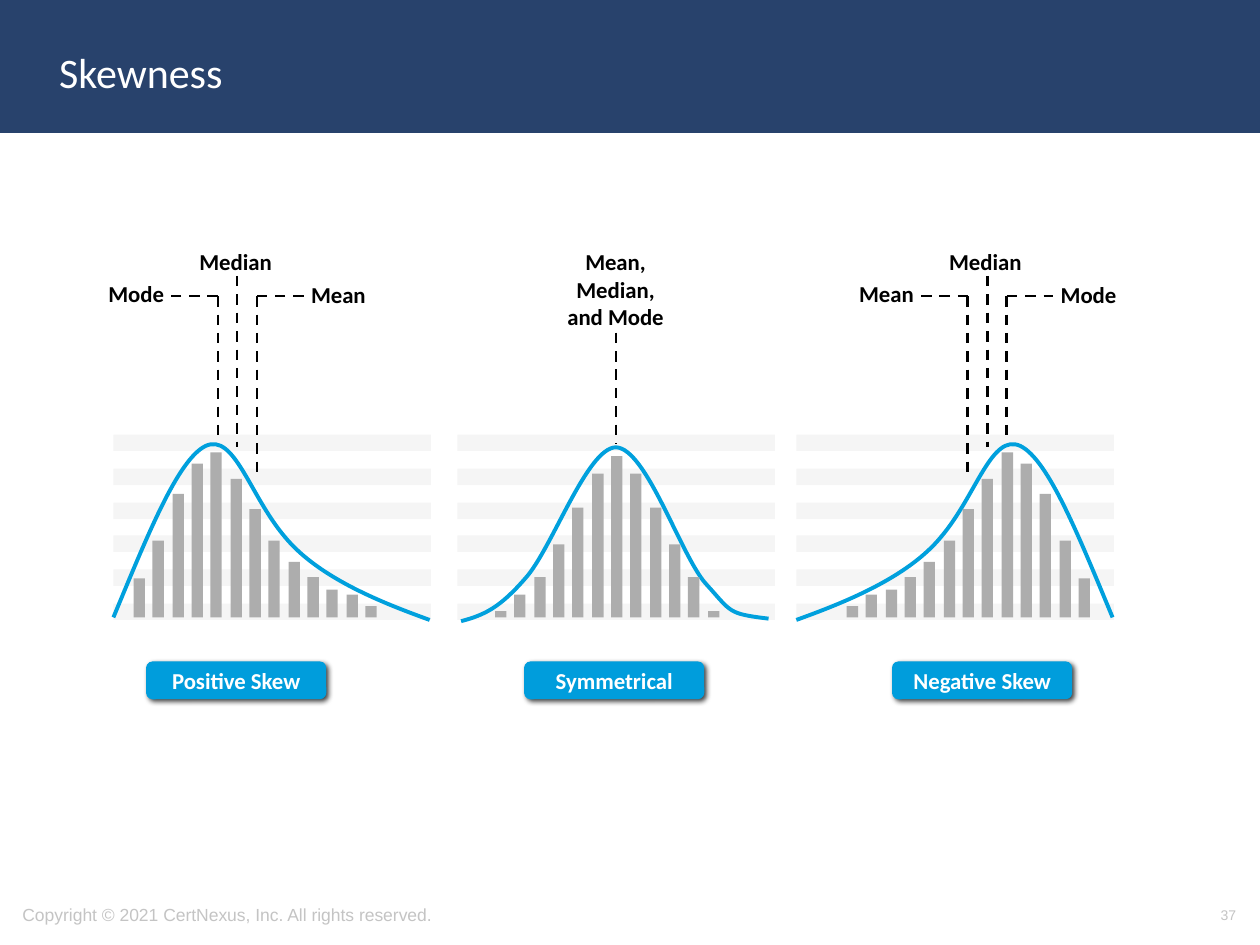
from dataclasses import dataclass

from lxml import etree
from pptx import Presentation, util as u
from pptx.dml.color import RGBColor
from pptx.enum import dml, shapes, text
from pptx.oxml.ns import qn

PX = 9144  # EMU per px, 100 px to the inch


@dataclass(frozen=True)
class Theme:
    navy: str = "28426C"
    white: str = "FFFFFF"
    black: str = "000000"
    muted: str = "C4C4C4"
    bar: str = "ADADAD"
    curve: str = "00A0DD"
    button: str = "009DDC"
    head_font: str = "Calibri"
    foot_font: str = "Arial"
    title: int = 24
    label: int = 13
    footer: int = 10
    number: int = 8


def px(n):
    return u.Emu(n * PX)


def rgb(value):
    return RGBColor.from_string(value)


def put_text(tf, words, size, color, font, bold=False, align="LEFT", anchor="MIDDLE"):
    tf.word_wrap = True
    tf.vertical_anchor = getattr(text.MSO_ANCHOR, anchor)
    p = tf.paragraphs[0]
    p.alignment = getattr(text.PP_ALIGN, align)
    r = p.add_run()
    r.text = words
    r.font.size, r.font.name, r.font.bold = u.Pt(size), font, bold
    r.font.color.rgb = rgb(color)


class Deck:
    def __init__(self, theme):
        self.t = theme
        self.prs = Presentation()
        self.prs.slide_width, self.prs.slide_height = px(1000), px(750)
        self.s = self.prs.slides.add_slide(self.prs.slide_layouts[6])

    def box(self, x, y, w, h, fill, kind="RECTANGLE", alpha=None, line=None):
        sp = self.s.shapes.add_shape(getattr(shapes.MSO_SHAPE, kind), px(x), px(y), px(w), px(h))
        sp.shadow.inherit = False
        sp.fill.solid()
        sp.fill.fore_color.rgb = rgb(fill)
        if line:
            sp.line.color.rgb = rgb(fill)
            sp.line.width = u.Pt(line)
        else:
            sp.line.fill.background()
        if alpha is not None:
            clr = sp._element.spPr.find(qn("a:solidFill"))[0]
            etree.SubElement(clr, qn("a:alpha"), val=str(alpha * 1000))
        return sp

    def label(self, x, y, w, h, words, **fmt):
        tb = self.s.shapes.add_textbox(px(x), px(y), px(w), px(h))
        put_text(tb.text_frame, words, **fmt)

    def mark(self, x, y, w, h, words, align="CENTER"):
        self.label(x, y, w, h, words, size=self.t.label, color=self.t.black,
                   font=self.t.head_font, bold=True, align=align, anchor="TOP")

    def button(self, x, words):
        sp = self.box(x, 525, 143, 30, self.t.button, "ROUNDED_RECTANGLE")
        effects = sp._element.spPr.find(qn("a:effectLst"))
        shadow = etree.SubElement(effects, qn("a:outerShdw"), blurRad=str(u.Pt(3)),
                                  dist=str(u.Pt(2)), dir="2700000", algn="tl", rotWithShape="0")
        clr = etree.SubElement(shadow, qn("a:srgbClr"), val=self.t.black)
        etree.SubElement(clr, qn("a:alpha"), val="75000")
        put_text(sp.text_frame, words, size=self.t.label, color=self.t.white,
                 font=self.t.head_font, bold=True, align="CENTER")

    def dash(self, x1, y1, x2, y2):
        ln = self.s.shapes.add_connector(shapes.MSO_CONNECTOR.STRAIGHT, px(x1), px(y1), px(x2), px(y2))
        ln.line.color.rgb = rgb(self.t.black)
        ln.line.width = u.Pt(1.5)
        ln.line.dash_style = dml.MSO_LINE.DASH
        etree.SubElement(ln._element.spPr, qn("a:effectLst"))

    def curve(self, knots):
        """Cubic Bezier line: a start, then two controls and an end per segment."""
        anchors = [(px(x), px(y)) for x, y in knots[::3]]
        fb = self.s.shapes.build_freeform(*anchors[0])
        fb.add_line_segments(anchors[1:], close=False)
        sp = fb.convert_to_shape()
        # Turn each straight segment into a cubic one
        for i, seg in enumerate(list(sp._element.iter(qn("a:lnTo")))):
            cubic = etree.Element(qn("a:cubicBezTo"))
            for x, y in knots[3 * i + 1:3 * i + 4]:
                etree.SubElement(cubic, qn("a:pt"), x=str(px(x) - sp.left), y=str(px(y) - sp.top))
            seg.getparent().replace(seg, cubic)
        sp.shadow.inherit = False
        sp.fill.background()
        sp.line.color.rgb = rgb(self.t.curve)
        sp.line.width = u.Pt(2.25)

    def stripes(self, x):
        for i in range(6):
            self.box(x, round(479 - 26.8 * i), 252, 13, self.t.black, alpha=4)

    def bars(self, x, heights, mirror=None):
        for i, h in enumerate(heights):
            left = round(x + 15.33 * i)
            self.box(mirror - left - 9 if mirror else left, 490 - h, 9, h, self.t.bar)


SKEW_BARS = [31, 61, 98, 122, 131, 110, 86, 61, 44, 32, 22, 18, 9]
EVEN_BARS = [5, 18, 32, 58, 87, 114, 128, 114, 87, 58, 32, 5]
SKEW_CURVE = [(90, 490), (117, 425), (141, 365), (163, 354), (186, 343), (198, 393),
              (226, 426), (253, 459), (305, 479), (341, 492)]
EVEN_CURVE = [(366, 493), (385, 488), (397, 482), (417, 459), (438, 436), (466, 355),
              (489, 355), (513, 356), (540, 440), (560, 463), (581, 486), (577, 487), (610, 491)]
SKEW_LINES = [(188, 219, 188, 355), (173, 235, 173, 345), (204, 235, 204, 376),
              (173, 235, 136, 235), (241, 235, 204, 235)]
BAR_MIRROR, LINE_MIRROR, CURVE_MIRROR = 971, 972, 973


def main():
    t = Theme()
    d = Deck(t)

    # Header and footer
    d.box(0, 0, 1000, 104, t.navy, line=2)
    d.label(8, 706, 527, 40, "Copyright © 2021 CertNexus, Inc. All rights reserved.",
            size=t.footer, color=t.muted, font=t.foot_font)
    d.label(37, 11, 862, 92, "Skewness", size=t.title, color=t.white, font=t.head_font)
    d.label(758, 706, 233, 40, "37", size=t.number, color=t.muted, font=t.foot_font, align="RIGHT")

    # Striped backgrounds
    for x in (363, 90, 632):
        d.stripes(x)

    # Distribution curves
    d.curve(SKEW_CURVE)
    d.curve([(CURVE_MIRROR - x, y) for x, y in SKEW_CURVE])
    d.curve(EVEN_CURVE)

    # Histogram bars
    d.bars(106, SKEW_BARS)
    d.bars(106, SKEW_BARS, mirror=BAR_MIRROR)
    d.bars(393, EVEN_BARS)

    # Captions
    for x, words in ((416, "Symmetrical"), (116, "Positive Skew"), (708, "Negative Skew")):
        d.button(x, words)

    # Markers of the skewed charts
    for shift, left, right in ((0, "Mode", "Mean"), (595, "Mean", "Mode")):
        d.mark(147 + shift, 192, 80, 32, "Median")
        d.mark(70 + shift, 217, 70, 32, left, "RIGHT")
        d.mark(237 + shift, 218, 68, 32, right, "LEFT")
        for x1, y1, x2, y2 in SKEW_LINES:
            if shift:
                x1, x2 = LINE_MIRROR - x1, LINE_MIRROR - x2
            d.dash(x1, y1, x2, y2)

    # Marker of the symmetrical chart
    d.mark(437, 192, 103, 76, "Mean, Median, and Mode")
    d.dash(489, 264, 489, 352)

    d.prs.save("out.pptx")


if __name__ == "__main__":
    main()
